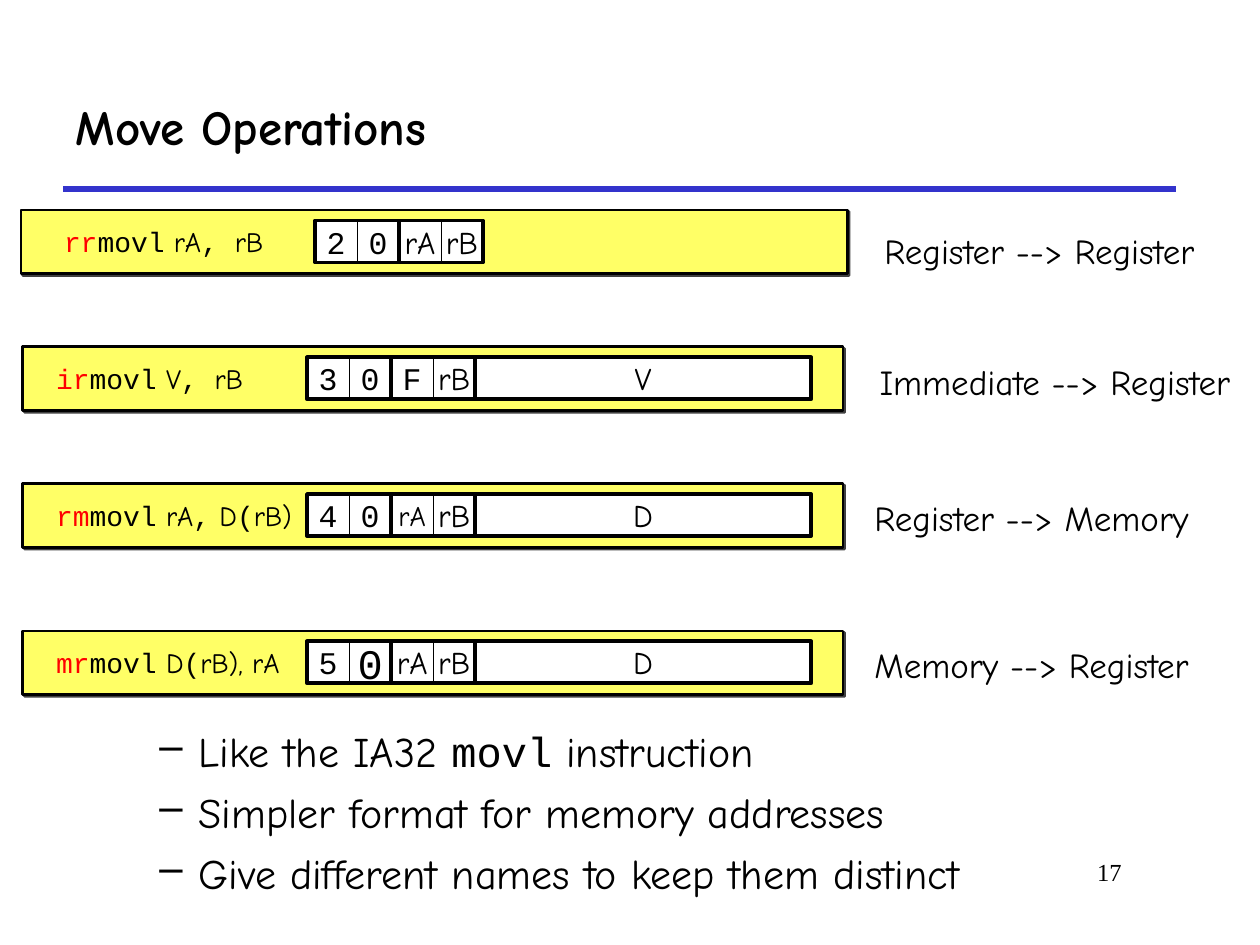
from lxml.etree import SubElement
from pptx import Presentation
from pptx.dml.color import RGBColor
from pptx.enum.shapes import MSO_CONNECTOR, MSO_SHAPE
from pptx.enum.text import MSO_ANCHOR, PP_ALIGN
from pptx.oxml.ns import qn
from pptx.util import Pt

BLACK = RGBColor(0x00, 0x00, 0x00)
WHITE = RGBColor(0xFF, 0xFF, 0xFF)
RED = RGBColor(0xFF, 0x00, 0x00)
YELLOW = RGBColor(0xFF, 0xFF, 0x66)
BLUE = RGBColor(0x33, 0x33, 0xCC)
PROSE, CODE, SERIF = "Comic Neue", "Courier New", "Times New Roman"
CELL = 24
WIDE_CELL = 8 * CELL
CODE_WIDTH = 150.5
BAR_HEIGHT = 36.5

# Bar box (left, top, width), left of the cells, coloured prefix, other spans of the
# instruction, byte cells as (text, font, size), wide cell, label and its left, top, width
INSTRUCTIONS = [
    ((12, 120, 472.3), 180, "rr",
     [(" rA", PROSE), (", ", CODE), ("rB", PROSE)],
     [("2", CODE, 18), ("0", CODE, 18), ("rA", PROSE, 18), ("rB", PROSE, 18)], None,
     "Register --> Register", (501.8, 127.4, 185.8)),
    ((13, 198.2, 468.7), 175.5, "ir",
     [(" V", PROSE), (", ", CODE), ("rB", PROSE)],
     [("3", CODE, 18), ("0", CODE, 18), ("F", CODE, 18), ("rB", PROSE, 18)], "V",
     "Immediate --> Register", (499, 202.3, 208.8)),
    ((13, 276.3, 468.7), 175.5, "rm",
     [(" rA", PROSE), (",", CODE), (" D", PROSE), ("(", CODE), ("rB)", PROSE)],
     [("4", CODE, 18), ("0", CODE, 18), ("rA", PROSE, 16), ("rB", PROSE, 18)], "D",
     "Register --> Memory", (496.1, 280.1, 188)),
    ((13, 360.5, 468.7), 175.5, "mr",
     [(" D", PROSE), ("(", CODE), ("rB), rA", PROSE)],
     [("5", CODE, 18), ("0", CODE, 24), ("rA", PROSE, 18), ("rB", PROSE, 18)], "D",
     "Memory --> Register", (496.1, 364.3, 188)),
]
NOTES = [
    [("Like the IA32 ", PROSE), ("movl", CODE), (" instruction", PROSE)],
    [("Simpler format for memory addresses", PROSE)],
    [("Give different names to keep them distinct", PROSE)],
]


def add_span(para, text, font, size, color=BLACK):
    span = para.add_run()
    span.text = text
    span.font.name = font
    span.font.size = Pt(size)
    span.font.color.rgb = color


def add_text(shapes, left, top, width, height, wrap=False, anchor=MSO_ANCHOR.TOP):
    """Add an empty text box and return its text frame."""
    frame = shapes.add_textbox(Pt(left), Pt(top), Pt(width), Pt(height)).text_frame
    frame.word_wrap = wrap
    frame.vertical_anchor = anchor
    return frame


def add_rectangle(shapes, left, top, width, height, line_width, fill=None):
    box = shapes.add_shape(MSO_SHAPE.RECTANGLE, Pt(left), Pt(top), Pt(width), Pt(height))
    box.shadow.inherit = False
    if fill is None:
        box.fill.background()
    else:
        box.fill.solid()
        box.fill.fore_color.rgb = fill
    box.line.color.rgb = BLACK
    box.line.width = Pt(line_width)
    return box


def add_cell(shapes, left, top, width, line_width, text, font, size):
    frame = add_rectangle(shapes, left, top, width, CELL, line_width, WHITE).text_frame
    frame.word_wrap = False
    frame.vertical_anchor = MSO_ANCHOR.MIDDLE
    para = frame.paragraphs[0]
    para.alignment = PP_ALIGN.CENTER
    add_span(para, text, font, size)


def add_bar(page, left, top, width):
    """Add a yellow bar with a hard shadow to the lower right."""
    bar = add_rectangle(page.shapes, left, top, width, BAR_HEIGHT, 1.5, YELLOW)
    effects = bar.element.spPr.find(qn("a:effectLst"))
    shadow = SubElement(effects, qn("a:outerShdw"), blurRad="0", dist=str(Pt(1.4)),
                        dir="2700000", algn="ctr", rotWithShape="0")
    color = SubElement(shadow, qn("a:srgbClr"), val=str(BLACK))
    SubElement(color, qn("a:alpha"), val="75000")


def add_instruction(page, bar, cells_left, prefix, operands, cells, wide, label, label_box):
    add_bar(page, *bar)
    top = bar[1] + 6
    shapes = page.shapes.add_group_shape().shapes
    para = add_text(shapes, cells_left - CODE_WIDTH, top, CODE_WIDTH, CELL,
                    anchor=MSO_ANCHOR.MIDDLE).paragraphs[0]
    add_span(para, prefix, CODE, 16, RED)
    for text, font in [("movl", CODE)] + operands:
        add_span(para, text, font, 16)

    for index, (text, font, size) in enumerate(cells):
        add_cell(shapes, cells_left + index * CELL, top, CELL, 0.5, text, font, size)
        if index % 2:
            add_rectangle(shapes, cells_left + (index - 1) * CELL, top, 2 * CELL, CELL, 2.25)
    if wide:
        add_cell(shapes, cells_left + len(cells) * CELL, top, WIDE_CELL, 2.25,
                 wide, PROSE, 18)

    frame = add_text(page.shapes, *label_box, 31)
    frame.margin_left = frame.margin_right = Pt(3.6)
    add_span(frame.paragraphs[0], label, PROSE, 20)


def add_heading(page, left, top, width, height):
    title = page.shapes.title
    title.left, title.top, title.width, title.height = map(Pt, (left, top, width, height))
    title.text_frame.text = "Move Operations"
    title.text_frame.vertical_anchor = MSO_ANCHOR.MIDDLE
    para = title.text_frame.paragraphs[0]
    para.alignment = PP_ALIGN.LEFT
    font = para.runs[0].font
    font.name, font.size, font.bold = PROSE, Pt(28), True
    font.color.rgb = BLACK

    bottom = top + height
    rule = page.shapes.add_connector(MSO_CONNECTOR.STRAIGHT, Pt(left), Pt(bottom),
                                     Pt(left + width), Pt(bottom))
    rule.line.color.rgb = BLUE
    rule.line.width = Pt(3)
    SubElement(rule.element.spPr, qn("a:effectLst"))


def add_notes_list(page, left, top, width, height):
    frame = add_text(page.shapes, left, top, width, height, wrap=True)
    for index, spans in enumerate(NOTES):
        para = frame.add_paragraph() if index else frame.paragraphs[0]
        properties = para._p.get_or_add_pPr()
        properties.set("marL", str(Pt(58.5)))
        properties.set("indent", str(Pt(-22.5)))
        if index:
            para.space_before = Pt(6)
        color = SubElement(properties, qn("a:buClr"))
        SubElement(color, qn("a:srgbClr"), val=str(BLACK))
        SubElement(properties, qn("a:buChar"), char="–")
        for text, font in spans:
            add_span(para, text, font, 24)


def add_page_number(page, left, top, width, height):
    para = add_text(page.shapes, left, top, width, height, wrap=True).paragraphs[0]
    para.alignment = PP_ALIGN.RIGHT
    add_span(para, "17", SERIF, 14)


def main():
    deck = Presentation()
    deck.slide_width, deck.slide_height = Pt(720), Pt(540)
    page = deck.slides.add_slide(deck.slide_layouts[5])
    add_heading(page, 36, 36, 636, 72)
    add_notes_list(page, 48, 411, 607, 122.5)
    for instruction in INSTRUCTIONS:
        add_instruction(page, *instruction)
    add_page_number(page, 546, 486, 102, 36)
    deck.save("out.pptx")


if __name__ == "__main__":
    main()
